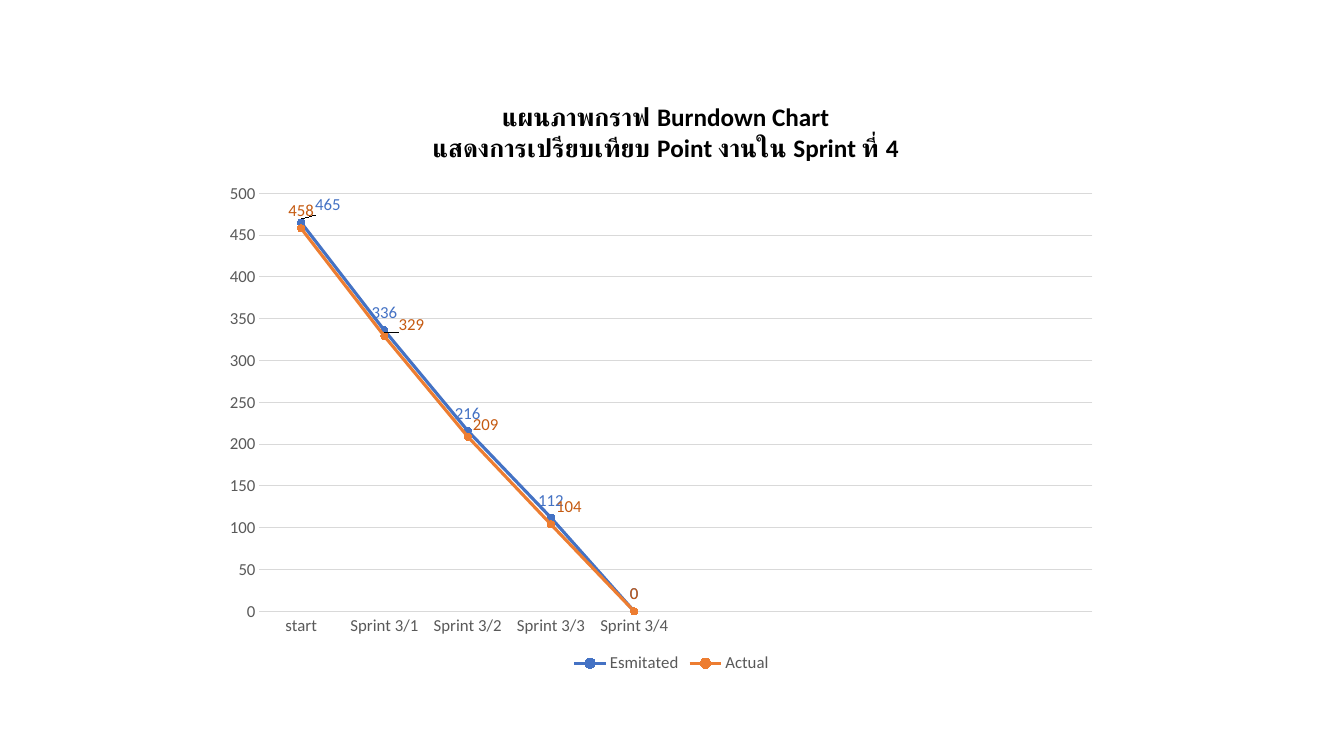
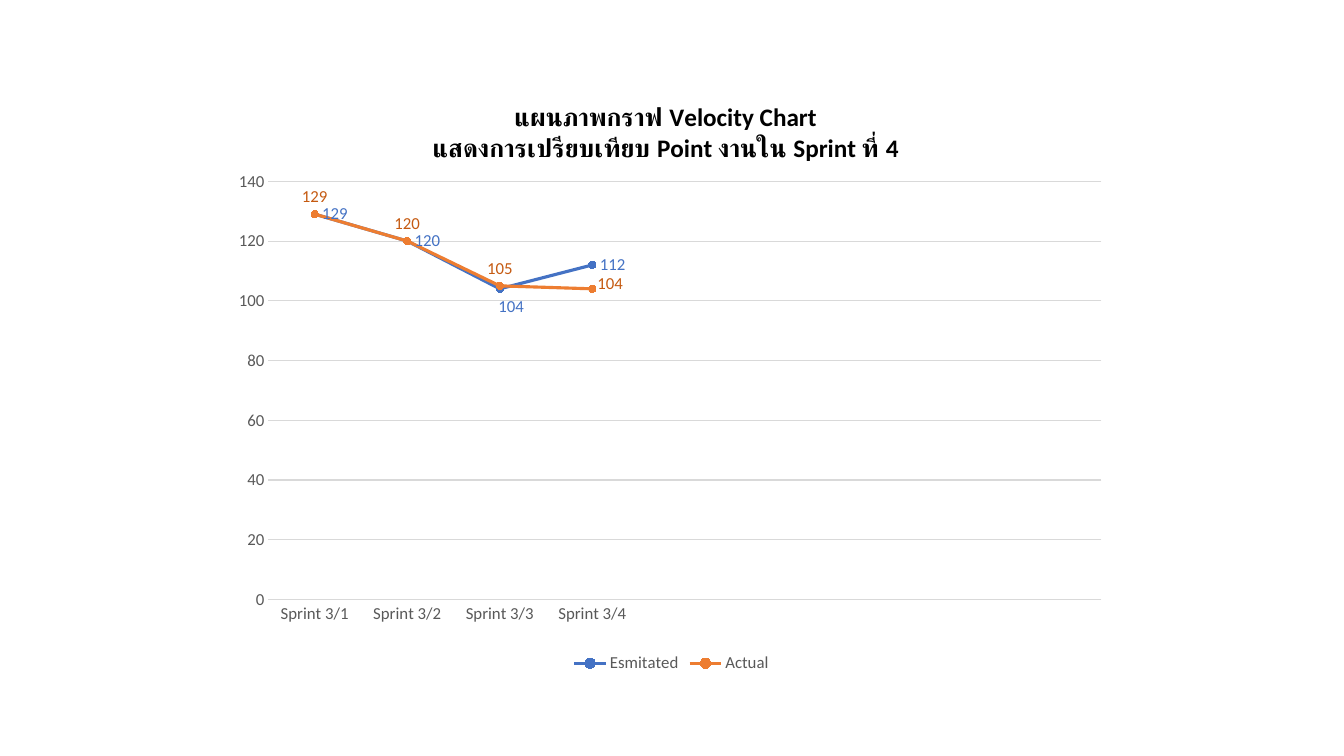
from dataclasses import dataclass

from lxml.etree import SubElement
from pptx import Presentation
from pptx.chart.chart import Chart
from pptx.chart.data import CategoryChartData
from pptx.chart.series import LineSeries
from pptx.dml.color import RGBColor
from pptx.dml.line import LineFormat
from pptx.enum.chart import (XL_CHART_TYPE, XL_LABEL_POSITION, XL_LEGEND_POSITION,
                             XL_MARKER_STYLE, XL_TICK_MARK)
from pptx.oxml.ns import qn
from pptx.oxml.xmlchemy import BaseOxmlElement
from pptx.slide import Slide
from pptx.text.text import Font, TextFrame
from pptx.util import Emu, Pt

EMU_PER_PX = 9525
FONT_NAME = "Calibri"
BLACK, GRAY, PALE_GRAY = "000000", "595959", "D9D9D9"
BLUE, ORANGE, DARK_ORANGE = "4472C4", "ED7D31", "C55A11"
ABOVE, RIGHT = XL_LABEL_POSITION.ABOVE, XL_LABEL_POSITION.RIGHT
SUBTITLE = "แสดงการเปรียบเทียบ Point งานใน Sprint ที่ 4"


@dataclass
class Track:
    """One line of a chart, with the label shifts of single points."""
    name: str
    values: list[int]
    color: str
    label_color: str
    label_position: XL_LABEL_POSITION
    shifts: dict[int, tuple[float, float]]


@dataclass
class SprintChart:
    """The content and layout of one chart page."""
    title: str
    title_at: tuple[float, float]
    categories: list[str]
    slots: int
    maximum: int
    step: int
    plot_at: tuple[float, float]
    tracks: list[Track]


SPRINTS = [f"Sprint 3/{number}" for number in range(1, 5)]
CHARTS = [
    SprintChart(
        "แผนภาพกราฟ Burndown Chart", (0.23, 0.03), ["start", *SPRINTS], 10, 500, 50, (0.04, 0.19),
        [Track("Esmitated", [465, 336, 216, 112, 0], BLUE, BLUE, ABOVE, {0: (0.03, 0)}),
         Track("Actual", [458, 329, 209, 104, 0], ORANGE, DARK_ORANGE, ABOVE,
               {1: (0.03, 0.01), 2: (0.02, 0.01), 3: (0.02, 0)})]),
    SprintChart(
        "แผนภาพกราฟ Velocity Chart", (0.23, 0.03), SPRINTS, 9, 140, 20, (0.05, 0.17),
        [Track("Esmitated", [129, 120, 104, 112], BLUE, BLUE, RIGHT, {2: (-0.01, 0.03)}),
         Track("Actual", [129, 120, 105, 104], ORANGE, DARK_ORANGE, ABOVE, {3: (0.02, 0.02)})]),
]


def px(length: int) -> Emu:
    """Turn pixels into EMU."""
    return Emu(length * EMU_PER_PX)


def rgb(color: str) -> RGBColor:
    """Turn a hex string into a colour."""
    return RGBColor.from_string(color)


def set_font(font: Font, color: str, size: int = 12, bold: bool = False) -> None:
    """Format a font."""
    font.name, font.size, font.bold = FONT_NAME, Pt(size), bold
    font.color.rgb = rgb(color)


def set_line(line: LineFormat, color: str, width: float = 0.75) -> None:
    """Format a line."""
    line.color.rgb = rgb(color)
    line.width = Pt(width)


def write_lines(frame: TextFrame, lines: list[str], color: str, size: int, bold: bool) -> None:
    """Write one paragraph for each line of text."""
    for index, text in enumerate(lines):
        para = frame.add_paragraph() if index else frame.paragraphs[0]
        span = para.add_run()
        span.text = text
        set_font(span.font, color, size, bold)


def set_layout(parent: BaseOxmlElement, index: int, **settings: str | float) -> None:
    """Give a chart part a manual layout as its child at the index."""
    for old in parent.findall(qn("c:layout")):
        parent.remove(old)
    layout = SubElement(parent, qn("c:layout"))
    manual = SubElement(layout, qn("c:manualLayout"))
    for tag, value in settings.items():
        SubElement(manual, qn(f"c:{tag}")).set("val", str(value))
    parent.insert(index, layout)


def format_axes(chart: Chart, maximum: int, step: int) -> None:
    """Format both axes and the gridlines."""
    for axis in (chart.category_axis, chart.value_axis):
        axis.major_tick_mark = axis.minor_tick_mark = XL_TICK_MARK.NONE
        set_font(axis.tick_labels.font, GRAY)
    set_line(chart.category_axis.format.line, PALE_GRAY)
    value_axis = chart.value_axis
    value_axis.minimum_scale, value_axis.maximum_scale = 0, maximum
    value_axis.major_unit = step
    value_axis.format.line.fill.background()
    set_line(value_axis.major_gridlines.format.line, PALE_GRAY)


def format_series(series: LineSeries, track: Track) -> None:
    """Format a line with its markers and labels."""
    series.smooth = False
    set_line(series.format.line, track.color, 2.25)
    marker = series.marker
    marker.style, marker.size = XL_MARKER_STYLE.CIRCLE, 5
    marker.format.fill.solid()
    marker.format.fill.fore_color.rgb = rgb(track.color)
    set_line(marker.format.line, track.color)
    labels = series.data_labels
    labels.show_value = True
    labels.position = track.label_position
    set_font(labels.font, track.label_color)
    for index, (across, down) in track.shifts.items():
        label = series.points[index].data_label
        set_font(label.font, track.label_color)
        label.position = track.label_position
        element = series._element.xpath(f"c:dLbls/c:dLbl[c:idx/@val='{index}']")[0]
        set_layout(element, 1, x=across, y=down)


def add_sprint_chart(page: Slide, content: SprintChart) -> None:
    """Draw one line chart on a page."""
    spare = content.slots - len(content.categories)
    data = CategoryChartData()
    data.categories = content.categories + [""] * spare
    for track in content.tracks:
        data.add_series(track.name, track.values + [None] * spare)
    chart = page.shapes.add_chart(XL_CHART_TYPE.LINE_MARKERS, px(213), px(76),
                                  px(853), px(569), data).chart
    set_font(chart.font, BLACK, 10)
    chart.plots[0].vary_by_categories = False

    write_lines(chart.chart_title.text_frame, [content.title, SUBTITLE], BLACK, 18, True)
    title_x, title_y = content.title_at
    set_layout(chart._chartSpace.xpath("c:chart/c:title")[0], 1,
               xMode="edge", yMode="edge", x=title_x, y=title_y)
    plot_x, plot_y = content.plot_at
    set_layout(chart._chartSpace.xpath("c:chart/c:plotArea")[0], 0, layoutTarget="inner",
               xMode="edge", yMode="edge", x=plot_x, y=plot_y, w=0.93, h=0.7)

    chart.has_legend = True
    chart.legend.position = XL_LEGEND_POSITION.BOTTOM
    chart.legend.include_in_layout = False
    set_font(chart.legend.font, GRAY)
    format_axes(chart, content.maximum, content.step)
    for series, track in zip(chart.plots[0].series, content.tracks):
        format_series(series, track)


def main() -> None:
    """Build the deck."""
    deck = Presentation()
    deck.slide_width, deck.slide_height = px(1280), px(720)
    for content in CHARTS:
        add_sprint_chart(deck.slides.add_slide(deck.slide_layouts[6]), content)
    deck.save("out.pptx")


if __name__ == "__main__":
    main()
